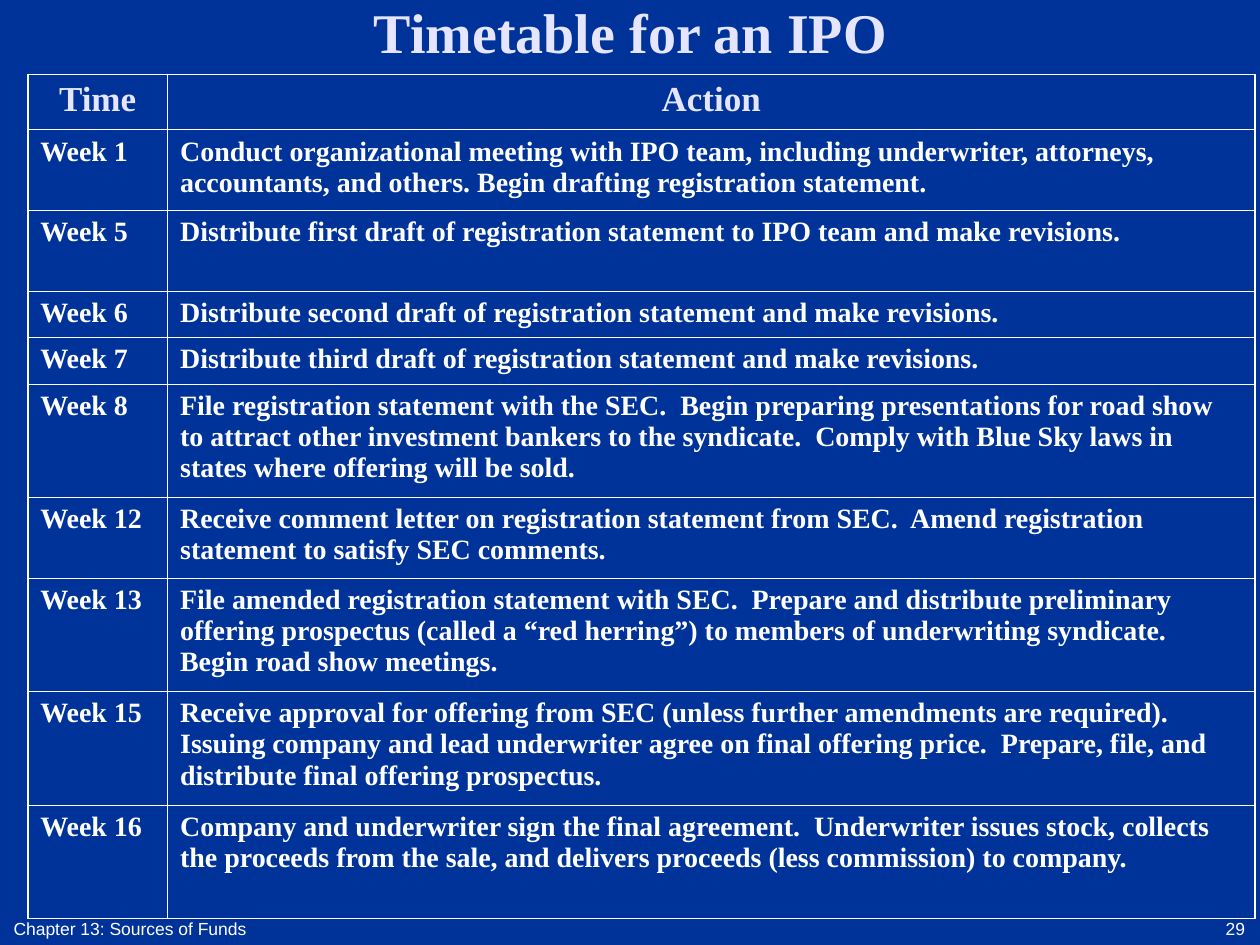
from lxml import etree
from pptx import Presentation
from pptx.dml.color import RGBColor
from pptx.enum import text
from pptx.oxml.ns import qn
from pptx.util import Inches, Pt

BLUE, WHITE, LILAC = "003399", "FFFFFF", "E5E5FF"
SERIF, SANS = "Times New Roman", "Arial"
LEFT, CENTER, RIGHT = text.PP_ALIGN.LEFT, text.PP_ALIGN.CENTER, text.PP_ALIGN.RIGHT
THIN, THICK = 0.45, 1.08

HEADER = ("Time", "Action", 0.44)
STEPS = [
    ("Week 1", "Conduct organizational meeting with IPO team, including underwriter, attorneys, "
     "accountants, and others. Begin drafting registration statement.", 0.64),
    ("Week 5", "Distribute first draft of registration statement to IPO team and make revisions.", 0.64),
    ("Week 6", "Distribute second draft of registration statement and make revisions.", 0.37),
    ("Week 7", "Distribute third draft of registration statement and make revisions.", 0.37),
    ("Week 8", "File registration statement with the SEC.  Begin preparing presentations for road "
     "show to attract other investment bankers to the syndicate.  Comply with Blue Sky laws in "
     "states where offering will be sold.", 0.9),
    ("Week 12", "Receive comment letter on registration statement from SEC.  Amend registration "
     "statement to satisfy SEC comments.", 0.64),
    ("Week 13", "File amended registration statement with SEC.  Prepare and distribute preliminary "
     "offering prospectus (called a “red herring”) to members of underwriting syndicate.  "
     "Begin road show meetings.", 0.9),
    ("Week 15", "Receive approval for offering from SEC (unless further amendments are required).  "
     "Issuing company and lead underwriter agree on final offering price.  Prepare, file, and "
     "distribute final offering prospectus.", 0.9),
    ("Week 16", "Company and underwriter sign the final agreement.  Underwriter issues stock, "
     "collects the proceeds from the sale, and delivers proceeds (less commission) to company.", 0.9),
]


def rgb(value):
    return RGBColor.from_string(value)


def write(tf, words, size, color, font, bold=False, align=LEFT):
    tf.text = words
    p = tf.paragraphs[0]
    p.alignment = align
    f = p.runs[0].font
    f.size, f.name, f.bold = Pt(size), font, bold
    f.color.rgb = rgb(color)
    return p


def add_label(s, box, words, size, color, font, anchor, **style):
    tf = s.shapes.add_textbox(*map(Inches, box)).text_frame
    tf.word_wrap = True
    tf.vertical_anchor = anchor
    write(tf, words, size, color, font, **style)


def set_borders(cell, **widths):
    """Draw white borders; keywords are L, R, T and B in that order, in points."""
    tc_pr = cell._tc.get_or_add_tcPr()
    for i, (side, width) in enumerate(widths.items()):
        ln = etree.Element(qn(f"a:ln{side}"), w=str(int(Pt(width))))
        fill = etree.SubElement(ln, qn("a:solidFill"))
        etree.SubElement(fill, qn("a:srgbClr"), val=WHITE)
        tc_pr.insert(i, ln)


def add_timetable(s, left, top, widths):
    rows = [HEADER] + STEPS
    heights = [row[-1] for row in rows]
    box = (left, top, sum(widths), sum(heights))
    table = s.shapes.add_table(len(rows), len(widths), *map(Inches, box)).table
    table.first_row = table.horz_banding = False
    for col, width in zip(table.columns, widths):
        col.width = Inches(width)
    for i, (*words, height) in enumerate(rows):
        table.rows[i].height = Inches(height)
        head, last = i == 0, i == len(rows) - 1
        size, color, align, before = (20, LILAC, CENTER, 5) if head else (16, WHITE, LEFT, 4)
        for j, content in enumerate(words):
            cell = table.cell(i, j)
            cell.fill.background()
            p = write(cell.text_frame, content, size, color, SERIF, True, align)
            p.space_before = Pt(before)
            set_borders(cell,
                        L=THICK if j == 0 else THIN,
                        R=THICK if j == len(widths) - 1 else THIN,
                        T=THICK if head else THIN,
                        B=THICK if last else THIN)


def add_footer(s, top, height):
    bottom = text.MSO_ANCHOR.BOTTOM
    add_label(s, (0.01, top, 3.17, height), "Chapter 13: Sources of Funds", 10, WHITE, SANS, bottom)
    add_label(s, (7.65, top, 2.33, height), "29", 10, WHITE, SANS, bottom, align=RIGHT)


def main():
    prs = Presentation()
    prs.slide_width, prs.slide_height = Inches(10), Inches(7.5)
    s = prs.slides.add_slide(prs.slide_layouts[6])
    s.background.fill.solid()
    s.background.fill.fore_color.rgb = rgb(BLUE)
    add_timetable(s, 0.22, 0.59, (1.11, 8.63))
    add_label(s, (0.92, 0, 8.17, 0.5), "Timetable for an IPO", 32, LILAC, SERIF,
              text.MSO_ANCHOR.MIDDLE, bold=True, align=CENTER)
    add_footer(s, 6.98, 0.52)
    prs.save("out.pptx")


if __name__ == "__main__":
    main()
